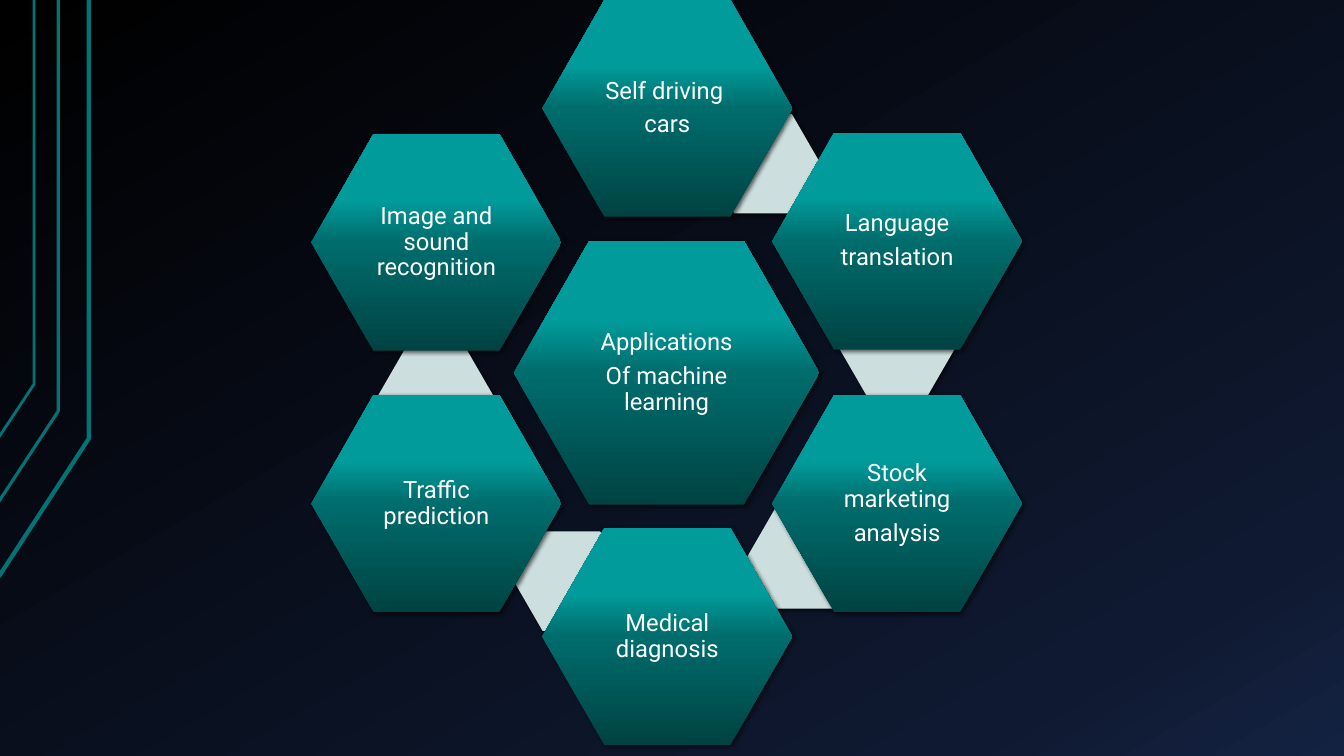
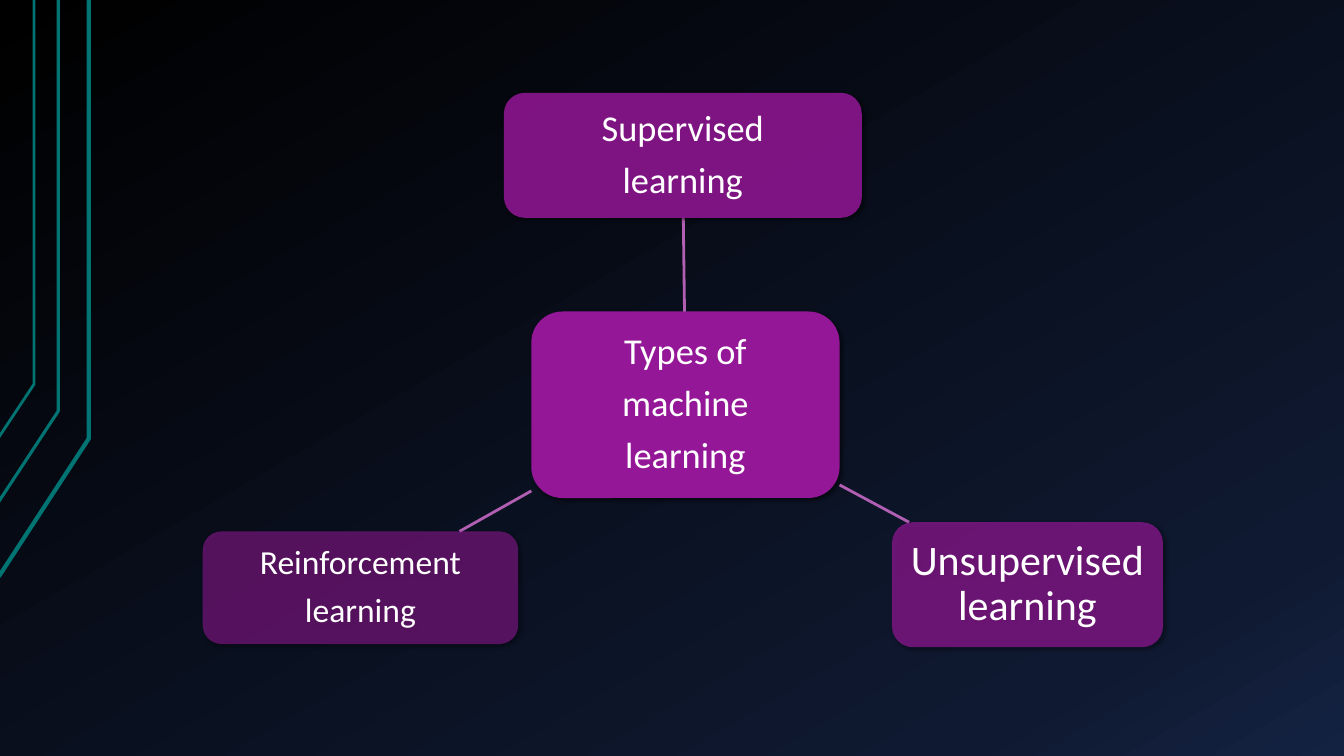
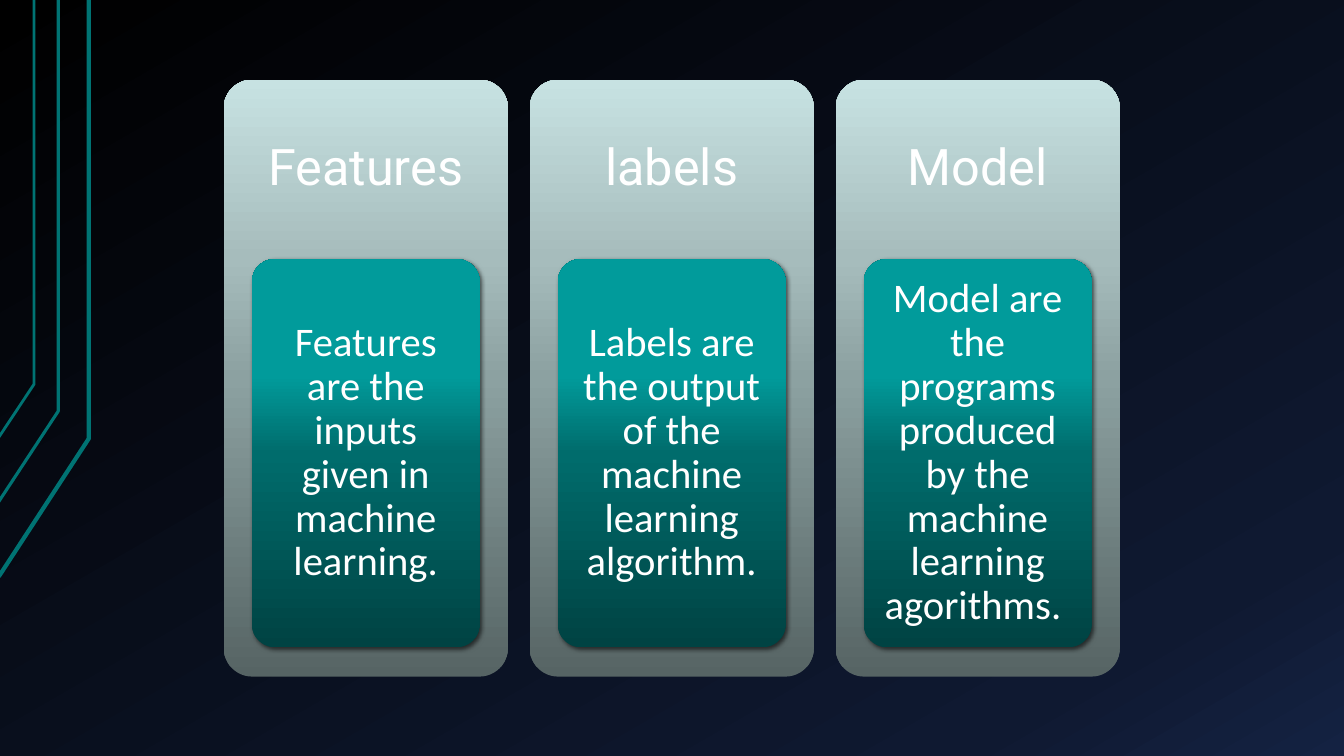
from dataclasses import dataclass

from lxml.etree import SubElement
from pptx import Presentation
from pptx.dml.color import RGBColor
from pptx.enum.shapes import MSO_CONNECTOR, MSO_SHAPE
from pptx.enum.text import MSO_ANCHOR, PP_ALIGN
from pptx.oxml.ns import qn
from pptx.util import Cm, Pt


@dataclass(frozen=True)
class Theme:
    night: tuple = ((0, "000000"), (85, "0F1931"), (100, "142242"))
    teal: tuple = ((0, "004343"), (50, "006C6C"), (70, "019B9B"), (100, "009999"))
    mist: tuple = ((0, "566464"), (50, "8CA1A1"), (70, "A6BCBC"), (100, "C7E2E2"))
    pale: str = "CCDEDE"
    purple: str = "A419A7"
    spoke: str = "B05FB2"
    circuit: str = "007373"
    text: str = "FFFFFF"
    heading_font: str = "Roboto"
    body_font: str = "Calibri"
    hexagon_size: int = 17
    heading_size: int = 36
    body_size: int = 29


theme = Theme()


def paint_gradient(fill, element, stops, angle):
    fill.gradient()
    gradient = next(element.iter(qn("a:gradFill")))
    stop_list = gradient.find(qn("a:gsLst"))
    for old_stop in list(stop_list):
        stop_list.remove(old_stop)
    for position, color in stops:
        stop = SubElement(stop_list, qn("a:gs"), pos=str(position * 1000))
        SubElement(stop, qn("a:srgbClr"), val=color)
    gradient.find(qn("a:lin")).set("ang", str(angle * 60000))


def add_block(slide, kind, box, fill, lines=(), size=17, font=theme.body_font,
              insets=(0.05, 0.05, 0.05, 0.05), adjust=None, opacity=100, shadow=True):
    block = slide.shapes.add_shape(kind, *map(Cm, box))
    if adjust is not None:
        block.adjustments[0] = adjust
    block.line.fill.background()
    properties = block._element.spPr

    # Fill: gradient stops or one colour with opacity
    if isinstance(fill, tuple):
        paint_gradient(block.fill, properties, fill, 270)
    else:
        block.fill.solid()
        block.fill.fore_color.rgb = RGBColor.from_string(fill)
        if opacity < 100:
            color = next(properties.iter(qn("a:srgbClr")))
            SubElement(color, qn("a:alpha"), val=str(opacity * 1000))

    # Soft shadow to the lower right
    block.shadow.inherit = False
    if shadow:
        outer = SubElement(properties.find(qn("a:effectLst")), qn("a:outerShdw"),
                           blurRad=str(Pt(3)), dist=str(Pt(2)), dir="2700000",
                           algn="tl", rotWithShape="0")
        black = SubElement(outer, qn("a:srgbClr"), val="000000")
        SubElement(black, qn("a:alpha"), val="60000")

    # Text
    frame = block.text_frame
    frame.word_wrap = True
    frame.vertical_anchor = MSO_ANCHOR.MIDDLE
    (frame.margin_left, frame.margin_top,
     frame.margin_right, frame.margin_bottom) = map(Cm, insets)
    for index, line in enumerate(lines):
        paragraph = frame.add_paragraph() if index else frame.paragraphs[0]
        paragraph.alignment = PP_ALIGN.CENTER
        paragraph.line_spacing = 0.9
        paragraph.space_after = Pt(round(0.35 * size, 1))
        run = paragraph.add_run()
        run.text = line
        run.font.size = Pt(size)
        run.font.name = font
        run.font.color.rgb = RGBColor.from_string(theme.text)


# Shared background and circuit lines
deck = Presentation()
deck.slide_width, deck.slide_height = Cm(33.87), Cm(19.05)
master = deck.slide_master
paint_gradient(master.background.fill, master.element, theme.night, 60)

circuit_lines = [
    (((-0.03, 14.53), (2.24, 11.05), (2.24, 0)), 3),
    (((-0.05, 12.67), (1.47, 10.36), (1.47, 0)), 2.25),
    (((-0.03, 11.02), (0.86, 9.68), (0.86, 0)), 2),
]
for _ in range(3):
    slide = deck.slides.add_slide(deck.slide_layouts[6])
    for corners, width in circuit_lines:
        start, *rest = [(Cm(x), Cm(y)) for x, y in corners]
        builder = slide.shapes.build_freeform(*start)
        builder.add_line_segments(rest, close=False)
        circuit = builder.convert_to_shape()
        circuit.fill.background()
        circuit.line.color.rgb = RGBColor.from_string(theme.circuit)
        circuit.line.width = Pt(width)
        circuit.shadow.inherit = False
applications, learning_types, terms = deck.slides

# Slide 1: ring of applications, each with the link behind it
add_block(applications, MSO_SHAPE.HEXAGON, (12.95, 6.07, 7.7, 6.65), theme.teal,
          ("Applications", "Of machine learning"), theme.hexagon_size,
          theme.heading_font, adjust=0.286)

left, middle, right = 7.85, 13.67, 19.46
ring = [
    ((middle, 0), (17.78, 2.87), ("Self driving ", "cars")),
    ((right, 3.35), (21.16, 7.54), ("Language", "translation")),
    ((right, 9.96), (18.8, 12.83), ("Stock marketing", "analysis")),
    ((middle, 13.31), (12.95, 13.39), ("Medical diagnosis",)),
    ((left, 9.96), (9.53, 8.71), ("Traffic prediction",)),
    ((left, 3.38), None, ("Image and sound recognition",)),
]
for corner, link_corner, lines in ring:
    if link_corner:
        add_block(applications, MSO_SHAPE.HEXAGON, (*link_corner, 2.9, 2.51),
                  theme.pale, adjust=0.289)
    add_block(applications, MSO_SHAPE.HEXAGON, (*corner, 6.3, 5.46), theme.teal,
              lines, theme.hexagon_size, theme.heading_font, adjust=0.286)

# Slide 2: types of learning around a hub
branches = [
    (None, (13.39, 7.85, 7.77, 4.7), 90, 26, ("Types of", " machine ", "learning")),
    ((17.25, 7.85, 17.22, 5.49), (12.7, 2.34, 9.02, 3.15), 77, 26,
     ("Supervised", "learning")),
    ((21.16, 12.22, 22.91, 13.16), (22.48, 13.16, 6.83, 3.15), 63, 30,
     ("Unsupervised learning",)),
    ((13.39, 12.37, 11.58, 13.39), (5.11, 13.39, 7.95, 2.84), 50, 24,
     ("Reinforcement", "learning")),
]
for spoke_ends, box, opacity, size, lines in branches:
    if spoke_ends:
        spoke = learning_types.shapes.add_connector(
            MSO_CONNECTOR.STRAIGHT, *map(Cm, spoke_ends))
        spoke.line.color.rgb = RGBColor.from_string(theme.spoke)
        spoke.line.width = Pt(2)
        SubElement(spoke._element.spPr, qn("a:effectLst"))
    add_block(learning_types, MSO_SHAPE.ROUNDED_RECTANGLE, box, theme.purple, lines,
              size, insets=(0.18, 0.18, 0.18, 0.18), opacity=opacity)

# Slide 3: one panel per term, with its definition inside
definitions = [
    ("Features", "Features are the inputs given in machine learning."),
    ("labels", "Labels are the output of the machine learning algorithm."),
    ("Model", "Model are the programs produced by the machine learning agorithms. "),
]
for column, (term, definition) in enumerate(definitions):
    panel_left = 5.64 + column * 7.71
    add_block(terms, MSO_SHAPE.ROUNDED_RECTANGLE, (panel_left, 2.01, 7.16, 15.04),
              theme.mist, (term,), theme.heading_size, theme.heading_font,
              insets=(0.18, 0.18, 0.18, 10.69), adjust=0.1, shadow=False)
    add_block(terms, MSO_SHAPE.ROUNDED_RECTANGLE, (panel_left + 0.71, 6.53, 5.74, 9.78),
              theme.teal, (definition,), theme.body_size,
              insets=(0.2, 0.15, 0.2, 0.15), adjust=0.1)

deck.save("out.pptx")
